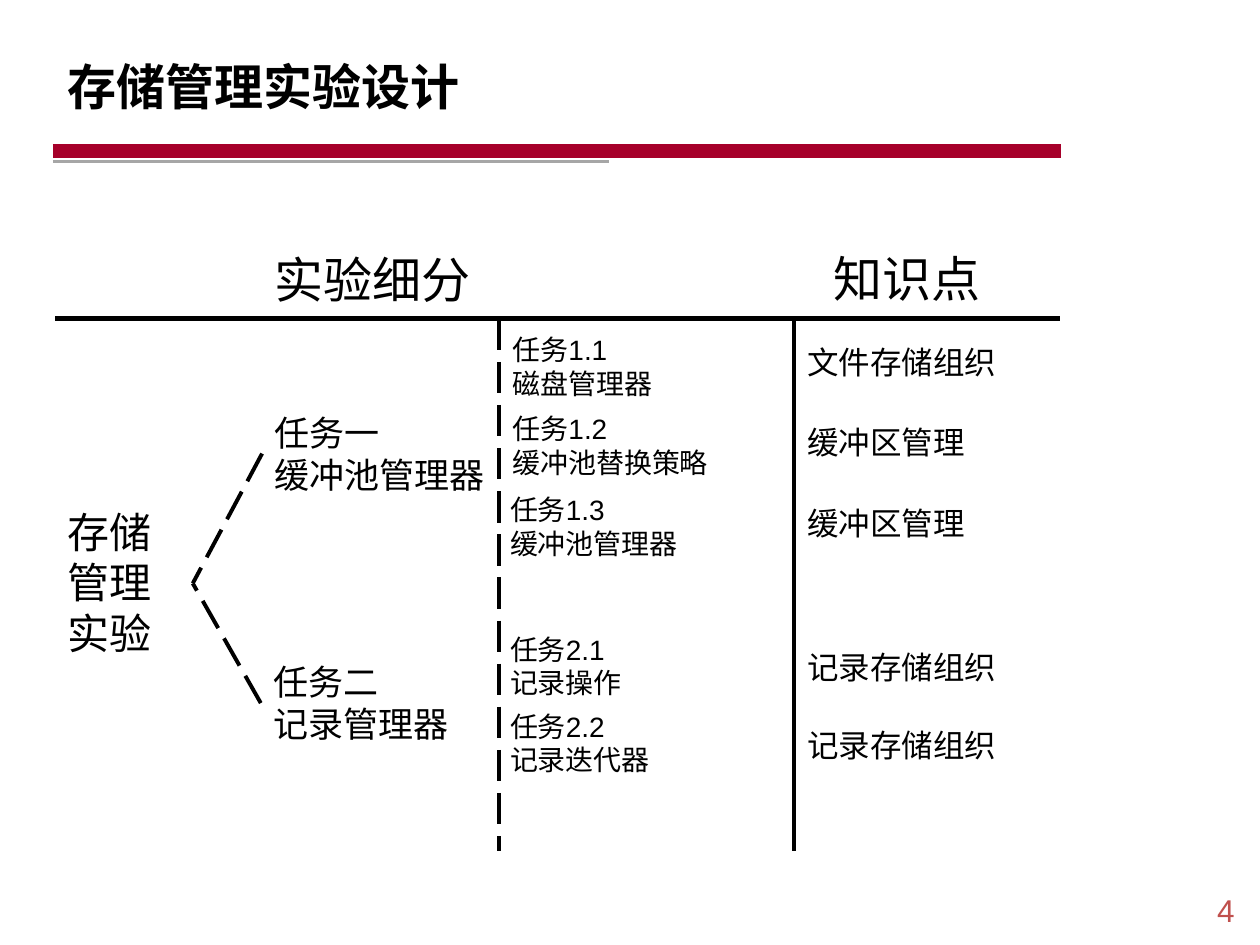
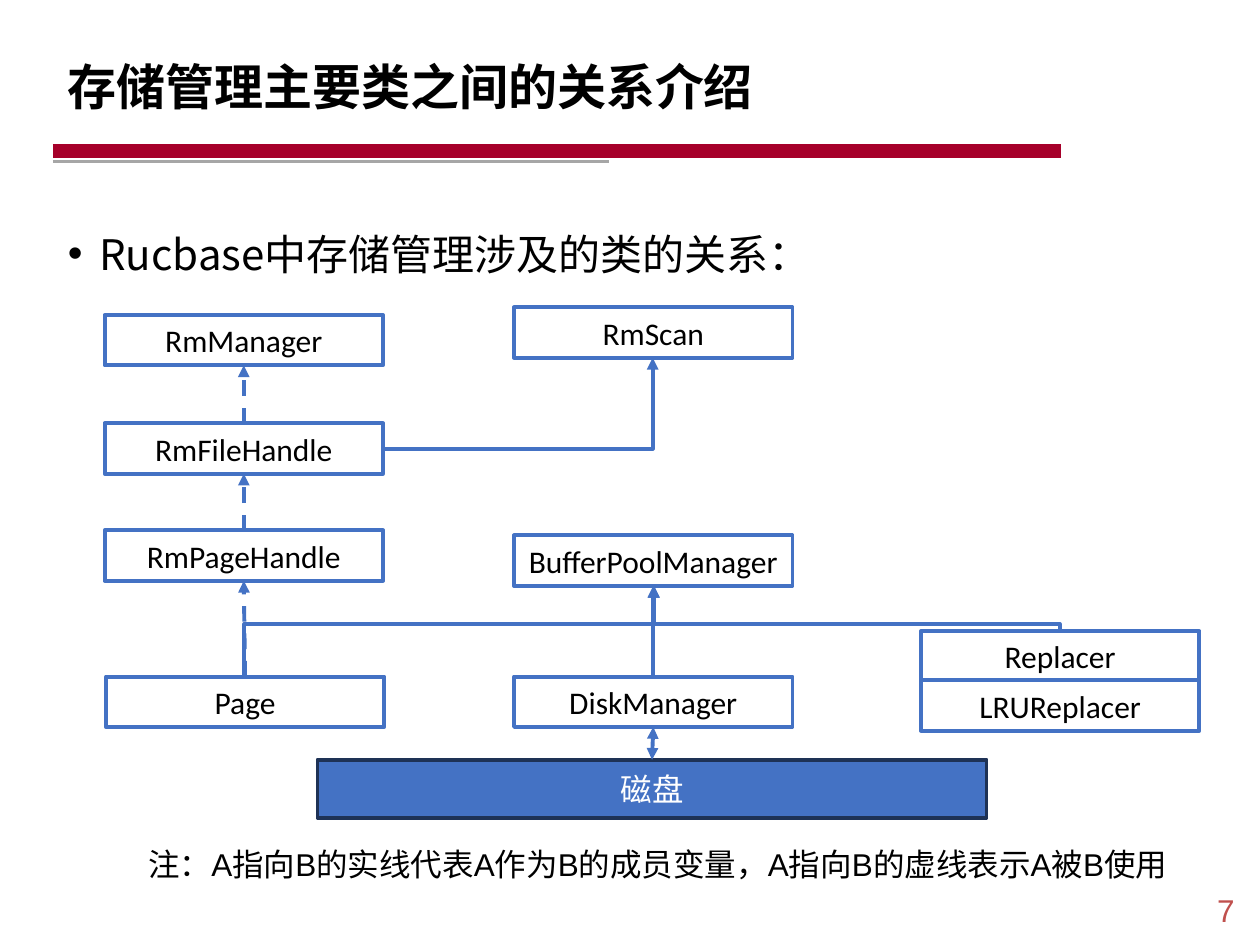
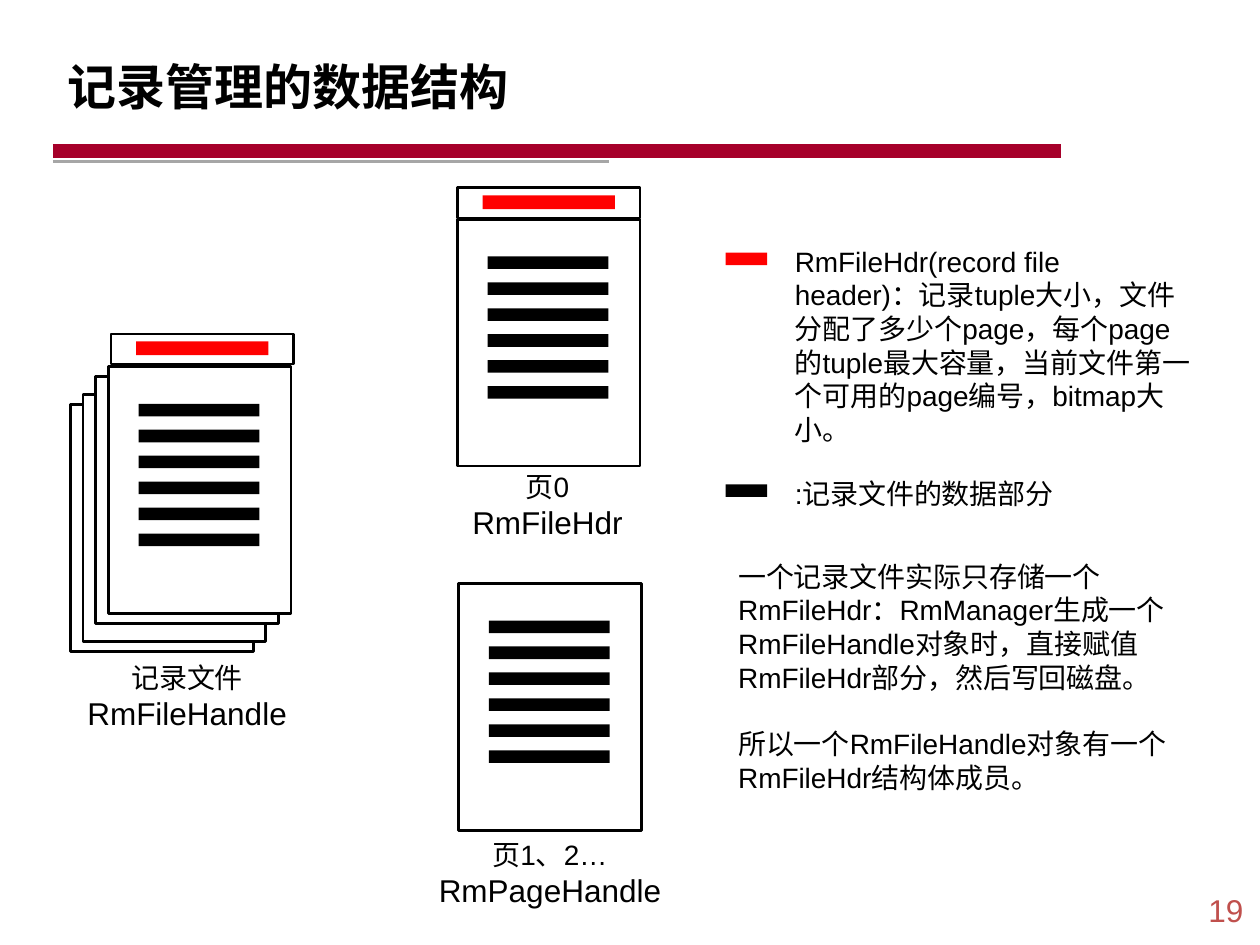
"""Build three slides on the storage management lab."""
from lxml import etree
from pptx import Presentation
from pptx.dml.color import RGBColor
from pptx.enum.dml import MSO_LINE
from pptx.enum.shapes import MSO_CONNECTOR, MSO_SHAPE
from pptx.enum.text import MSO_ANCHOR, PP_ALIGN
from pptx.oxml.ns import qn
from pptx.util import Inches, Pt

BLACK = RGBColor(0x00, 0x00, 0x00)
WHITE = RGBColor(0xFF, 0xFF, 0xFF)
CRIMSON = RGBColor(0xA6, 0x00, 0x2A)
GRAY = RGBColor(0xA6, 0xA6, 0xA6)
BRICK = RGBColor(0xC0, 0x50, 0x4D)
BLUE = RGBColor(0x44, 0x72, 0xC4)
NAVY = RGBColor(0x1E, 0x32, 0x56)
RED = RGBColor(0xFF, 0x00, 0x00)

RECT = MSO_SHAPE.RECTANGLE
STRAIGHT, ELBOW = MSO_CONNECTOR.STRAIGHT, MSO_CONNECTOR.ELBOW
LONG_DASH, DASH = MSO_LINE.LONG_DASH, MSO_LINE.DASH
LEFT, CENTER = PP_ALIGN.LEFT, PP_ALIGN.CENTER
TOP, MIDDLE = MSO_ANCHOR.TOP, MSO_ANCHOR.MIDDLE
SIDE_TOP, SIDE_BOTTOM = 0, 2

COLS, ROWS = 100, 75
SANS, CJK, LABEL = "Arial", "Noto Sans CJK SC", "Calibri"


class Deck:
    """Hold the style, the grid and the current slide."""

    def __init__(self):
        self.prs = Presentation()
        self.prs.slide_width, self.prs.slide_height = Inches(10), Inches(7.5)
        self.s = None

    def x(self, cols):
        return round(self.prs.slide_width * cols / COLS)

    def y(self, rows):
        return round(self.prs.slide_height * rows / ROWS)

    def box(self, at):
        left, top, width, height = at
        return self.x(left), self.y(top), self.x(width), self.y(height)

    def slide(self, title, number):
        self.s = self.prs.slides.add_slide(self.prs.slide_layouts[6])
        self.line((4.2, 12), (84.2, 12), CRIMSON, 8)
        self.line((4.2, 12.8), (48.3, 12.8), GRAY, 1.8)
        self.text((94.6, 70.2, 5.4, 4), [number], 18, color=BRICK, align=CENTER)
        self.text((4.4, 2.5, 86.2, 8.6), [title], 28, font=CJK, bold=True, anchor=MIDDLE)

    def add_lines(self, sp, lines, sizes, font=SANS, color=BLACK, bold=False,
                  align=LEFT, anchor=TOP, gap=0):
        tf = sp.text_frame
        tf.word_wrap = True
        tf.vertical_anchor = anchor
        if not isinstance(sizes, tuple):
            sizes = (sizes,) * len(lines)
        for i, (line, size) in enumerate(zip(lines, sizes)):
            p = tf.add_paragraph() if i else tf.paragraphs[0]
            p.alignment = align
            if i and gap:
                p.space_before = Pt(gap)
            r = p.add_run()
            r.text = line
            r.font.size, r.font.name, r.font.bold = Pt(size), font, bold
            r.font.color.rgb = color
            etree.SubElement(r._r.get_or_add_rPr(), qn("a:ea"), typeface=CJK)

    def text(self, at, lines, sizes, **style):
        sp = self.s.shapes.add_textbox(*self.box(at))
        self.add_lines(sp, lines, sizes, **style)
        return sp

    def bullet(self, at, line, size, inset):
        tf = self.text(at, [line], size, font=CJK).text_frame
        tf.margin_top = self.y(inset)
        pPr = tf.paragraphs[0]._p.get_or_add_pPr()
        pPr.set("marL", str(self.x(2.5)))
        pPr.set("indent", str(-self.x(2.5)))
        etree.SubElement(pPr, qn("a:buFont"), typeface=SANS)
        etree.SubElement(pPr, qn("a:buChar"), char="•")

    def rect(self, at, fill, line=None, width=2.25, label=None, font=LABEL, color=BLACK):
        sp = self.s.shapes.add_shape(RECT, *self.box(at))
        sp.shadow.inherit = False
        sp.fill.solid()
        sp.fill.fore_color.rgb = fill
        if line is None:
            sp.line.fill.background()
        else:
            sp.line.color.rgb = line
            sp.line.width = Pt(width)
        if label:
            self.add_lines(sp, [label], 18, font=font, color=color, align=CENTER, anchor=MIDDLE)
        return sp

    def line(self, start, end, color=BLACK, width=2.25, dash=None, ends=(), kind=STRAIGHT):
        c = self.s.shapes.add_connector(
            kind, self.x(start[0]), self.y(start[1]), self.x(end[0]), self.y(end[1]))
        c.line.color.rgb = color
        c.line.width = Pt(width)
        if dash:
            c.line.dash_style = dash
        spPr = c._element.spPr
        for end_tag in ends:
            etree.SubElement(spPr.find(qn("a:ln")), qn(f"a:{end_tag}"), type="triangle")
        etree.SubElement(spPr, qn("a:effectLst"))
        return c

    def link(self, a, a_side, b, b_side, dash=None, ends=("tailEnd",)):
        c = self.line((0, 0), (1, 1), BLUE, dash=dash, ends=ends)
        c.begin_connect(a, a_side)
        c.end_connect(b, b_side)

    def elbow_right_up(self, start, end):
        c = self.line(start, end, BLUE, ends=("tailEnd",), kind=ELBOW)
        c._element.spPr.find(qn("a:prstGeom")).set("prst", "bentConnector2")

    def elbow_up(self, start, end, bend):
        (x1, y1), (x2, y2) = start, end
        cx, cy = (x1 + x2) / 2, (y1 + y2) / 2
        rise, run = y1 - y2, x2 - x1
        c = self.line((cx - rise / 2, cy - run / 2), (cx + rise / 2, cy + run / 2),
                      BLUE, ends=("tailEnd",), kind=ELBOW)
        spPr = c._element.spPr
        spPr.find(qn("a:xfrm")).set("rot", str(270 * 60000))
        geom = spPr.find(qn("a:prstGeom"))
        avLst = geom.find(qn("a:avLst"))
        if avLst is None:
            avLst = etree.SubElement(geom, qn("a:avLst"))
        etree.SubElement(avLst, qn("a:gd"), name="adj1", fmla=f"val {round(bend * 100000)}")

    def sheet(self, left, top):
        self.rect((left, top, 14.5, 19.6), WHITE, BLACK, 1.5)

    def page(self, left, top):
        self.sheet(left, top)
        for i in range(6):
            self.rect((left + 2.4, top + 2.95 + 2.06 * i, 9.6, 1), BLACK)

    def header(self, left, top):
        self.rect((left, top, 14.5, 2.4), WHITE, BLACK, 1.5)
        self.rect((left + 2, top + 0.6, 10.5, 1.1), RED)


def design_slide(d):
    d.slide("存储管理实验设计", "4")
    d.line((4.4, 25.3), (84.1, 25.3), width=3)
    d.text((20.8, 19.3, 18.9, 5.7), ["实验细分"], 28)
    d.text((65.2, 19.2, 14.3, 5.7), ["知识点"], 28)
    d.line((39.6, 25.3), (39.6, 67.5), dash=LONG_DASH)
    d.line((63, 25.3), (63, 67.5))
    d.text((4.4, 39.7, 10.9, 13.1), ["存储", "管理", "实验"], 24)
    for left, top, lines, tip in (
            (20.8, 32.2, ["任务一", "缓冲池管理器"], 36),
            (20.7, 51.9, ["任务二", "记录管理器"], 55.8)):
        d.text((left, top, 18.9, 7.7), lines, 20)
        d.line((left, tip), (15.3, 46.3), dash=LONG_DASH)
    for left, top, lines in (
            (39.7, 25.9, ["任务1.1", "磁盘管理器"]),
            (39.7, 32.2, ["任务1.2", "缓冲池替换策略"]),
            (39.5, 38.6, ["任务1.3", "缓冲池管理器"]),
            (39.5, 49.7, ["任务2.1", "记录操作"]),
            (39.5, 55.8, ["任务2.2", "记录迭代器"])):
        d.text((left, top, 22.1, 6.4), lines, 16)
    for top, topic in ((26.7, "文件存储组织"), (33.1, "缓冲区管理"), (39.5, "缓冲区管理"),
                       (50.9, "记录存储组织"), (57.1, "记录存储组织")):
        d.text((63.1, top, 26.8, 4), [topic], 18)


def classes_slide(d):
    d.slide("存储管理主要类之间的关系介绍", "7")
    d.bullet((4.4, 15.4, 88, 58.4), "Rucbase中存储管理涉及的类的关系：", 24, 2.7)
    boxes = {
        name: d.rect((left, top, 22.1, 4), WHITE, BLUE, label=name)
        for name, left, top in (
            ("RmManager", 8.3, 25), ("RmScan", 40.8, 24.4),
            ("RmFileHandle", 8.3, 33.6), ("RmPageHandle", 8.3, 42.1),
            ("BufferPoolManager", 40.8, 42.5), ("Page", 8.4, 53.7),
            ("DiskManager", 40.8, 53.7), ("Replacer", 73.1, 50.1),
            ("LRUReplacer", 73.1, 54))}
    disk = d.rect((25.2, 60.3, 53.1, 4.6), BLUE, NAVY, label="磁盘", font=SANS, color=WHITE)
    d.link(boxes["DiskManager"], SIDE_BOTTOM, disk, SIDE_TOP, ends=("headEnd", "tailEnd"))
    d.elbow_up((19.4, 53.7), (51.9, 46.5), 0.58)
    d.elbow_up((84.1, 50.1), (51.9, 46.5), 0.16)
    d.link(boxes["DiskManager"], SIDE_TOP, boxes["BufferPoolManager"], SIDE_BOTTOM)
    chain = ["Page", "RmPageHandle", "RmFileHandle", "RmManager"]
    for used, user in zip(chain, chain[1:]):
        d.link(boxes[used], SIDE_TOP, boxes[user], SIDE_BOTTOM, dash=DASH)
    d.elbow_right_up((30.4, 35.6), (51.8, 28.4))
    d.text((9.3, 65.4, 85.8, 6.4),
           ["注：A指向B的实线代表A作为B的成员变量，A指向B的虚线表示A被B使用"],
           18, align=CENTER, anchor=MIDDLE)


def records_slide(d):
    d.slide("记录管理的数据结构", "19")
    for left, top in ((5.6, 32.1), (6.6, 31.3), (7.6, 29.9)):
        d.sheet(left, top)
    for left, top in ((8.6, 29.1), (36.3, 17.4), (36.4, 46.3)):
        d.page(left, top)
    for left, top in ((8.8, 26.5), (36.3, 14.9)):
        d.header(left, top)
    for left, top, lines in ((4.3, 51.9, ["记录文件", "RmFileHandle"]),
                             (32.9, 36.8, ["页0", "RmFileHdr"]),
                             (33.1, 66, ["页1、2…", "RmPageHandle"])):
        d.text((left, top, 21.1, 6.7), lines, (16, 18), align=CENTER)
    for top, height, color, meaning in (
            (18.9, 14.5, RED,
             "RmFileHdr(record file header)：记录tuple大小，文件分配了多少个page，"
             "每个page的tuple最大容量，当前文件第一个可用的page编号，bitmap大小。"),
            (37.3, 3.7, BLACK, ":记录文件的数据部分")):
        d.rect((57.6, top + 1.15, 3.3, 1), color)
        d.text((62.1, top, 33.4, height), [meaning], 16)
    d.text((57.6, 43.9, 37.9, 19.9),
           ["一个记录文件实际只存储一个RmFileHdr：RmManager生成一个RmFileHandle对象时，"
            "直接赋值RmFileHdr部分，然后写回磁盘。",
            "所以一个RmFileHandle对象有一个RmFileHdr结构体成员。"], 16, gap=19)


def main():
    d = Deck()
    design_slide(d)
    classes_slide(d)
    records_slide(d)
    d.prs.save("out.pptx")


if __name__ == "__main__":
    main()
